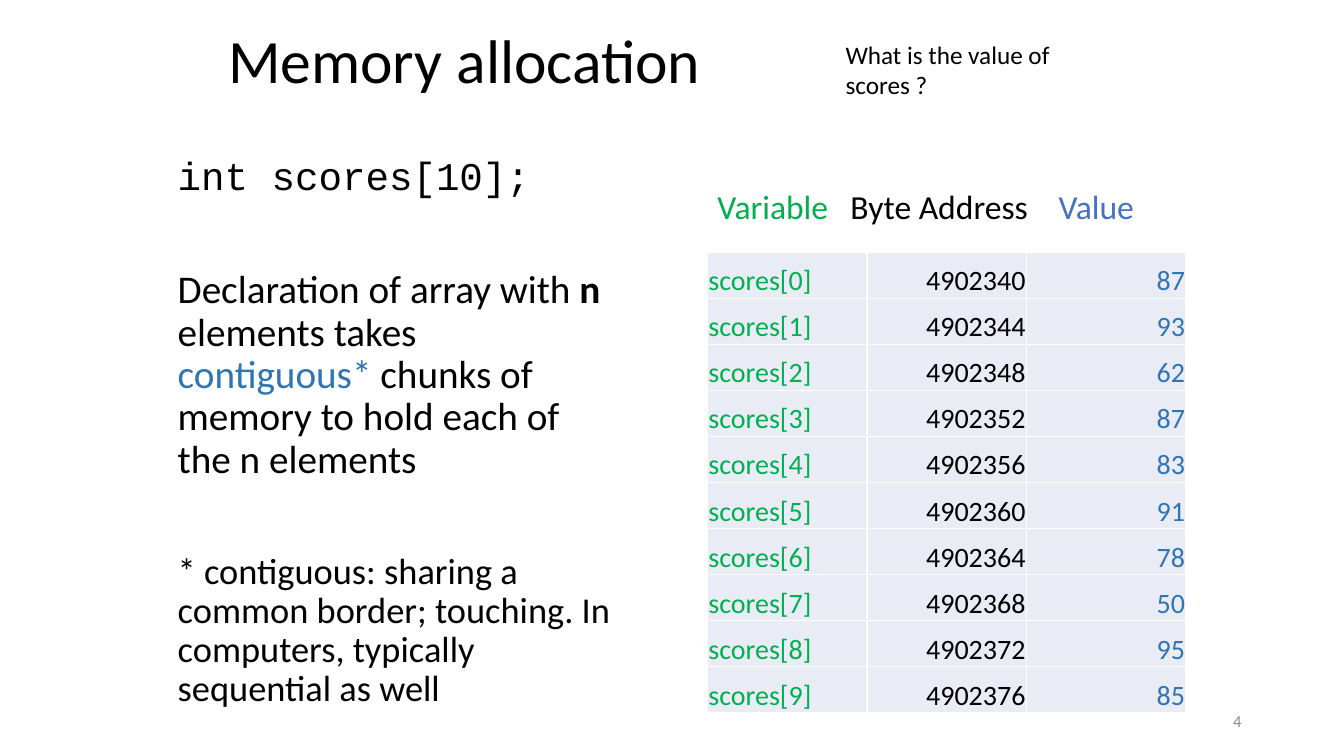
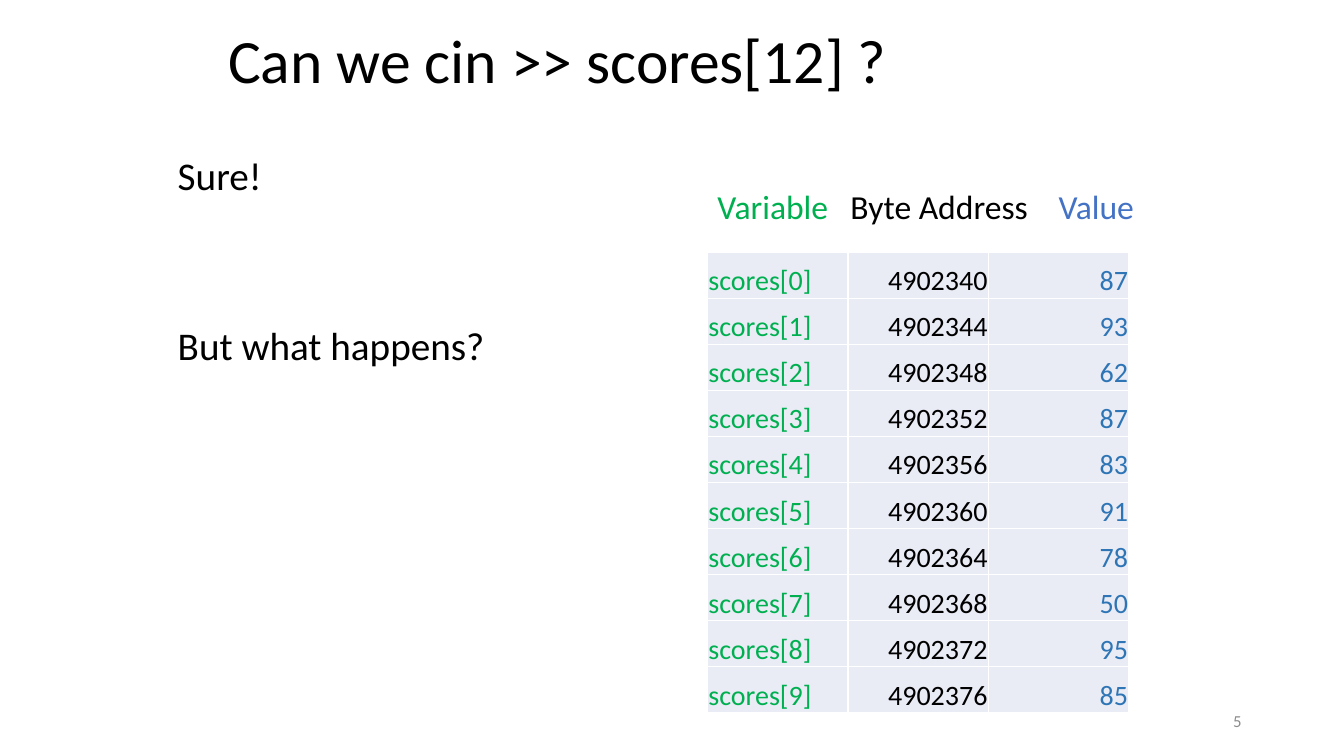
from dataclasses import dataclass

from lxml import etree
from pptx import Presentation
from pptx.dml.color import RGBColor
from pptx.enum.text import MSO_ANCHOR, PP_ALIGN
from pptx.oxml.ns import qn
from pptx.util import Cm, Pt

LEFT, RIGHT = PP_ALIGN.LEFT, PP_ALIGN.RIGHT
TOP, MIDDLE, BOTTOM = MSO_ANCHOR.TOP, MSO_ANCHOR.MIDDLE, MSO_ANCHOR.BOTTOM


@dataclass(frozen=True)
class Theme:
    sans: str = "Calibri"
    mono: str = "Courier New"
    black: str = "000000"
    white: str = "FFFFFF"
    green: str = "00B050"
    blue: str = "2E75B6"
    royal: str = "4472C4"
    grey: str = "8C8C8C"
    pale: str = "E9EBF5"
    title: int = 44
    body: int = 28
    note: int = 26
    head: int = 24
    cell: int = 20
    ask: int = 18
    foot: int = 12
    tight: float = 0.9
    space: int = 10
    blank: float = 40.75


T = Theme()
SCORES = (87, 93, 62, 87, 83, 91, 78, 50, 95, 85)
BASE, STEP = 4902340, 4
ROWS = [(f"scores[{i}]", str(BASE + STEP * i), str(score))
        for i, score in enumerate(SCORES)]
COLUMNS = ((T.green, LEFT), (T.black, RIGHT), (T.blue, RIGHT))
HEADS = (("Variable", {"color": T.green}),
         ("\tByte Address", {}),
         ("\tValue", {"color": T.royal}))
STOPS = (3.35, 8.6)
EDGES = ("lnL", "lnR", "lnT", "lnB")


def apply(target, values):
    for name, value in values.items():
        setattr(target, name, value)


def write(para, runs, size, **style):
    apply(para, style)
    for text, change in runs:
        form = {"name": T.sans, "size": Pt(size), "color": T.black, **change}
        shade = form.pop("color")
        run = para.add_run()
        run.text = text
        apply(run.font, form)
        run.font.color.rgb = RGBColor.from_string(shade)


def add_box(slide, place, anchor=TOP):
    frame = slide.shapes.add_textbox(*map(Cm, place)).text_frame
    apply(frame, {"word_wrap": True, "vertical_anchor": anchor})
    return frame


def add_title(slide, text):
    frame = add_box(slide, (5.5, 0, 22.86, 3.18), MIDDLE)
    write(frame.paragraphs[0], [(text, {})], T.title, line_spacing=T.tight)


def add_body(slide, items):
    frame = add_box(slide, (4.23, 3.82, 11.43, 14.5))
    for i, (runs, size, gaps) in enumerate(items):
        para = frame.add_paragraph() if i else frame.paragraphs[0]
        before = T.space + gaps * T.blank if i else 0
        write(para, runs, size, line_spacing=T.tight, space_before=Pt(before))


def add_heads(slide):
    para = add_box(slide, (17.83, 4.55, 12.06, 1.28)).paragraphs[0]
    write(para, HEADS, T.head)
    stops = etree.SubElement(para._p.get_or_add_pPr(), qn("a:tabLst"))
    for stop in STOPS:
        etree.SubElement(stops, qn("a:tab"), pos=str(Cm(stop)), algn="l")


def add_edges(cell):
    props = cell._tc.get_or_add_tcPr()
    for edge in EDGES:
        line = etree.SubElement(props, qn(f"a:{edge}"), w=str(Pt(1)))
        fill = etree.SubElement(line, qn("a:solidFill"))
        etree.SubElement(fill, qn("a:srgbClr"), val=T.white)


def add_grid(slide, width, height=1.16):
    place = (17.83, 6.36, width * len(COLUMNS), height * len(ROWS))
    grid = slide.shapes.add_table(
        len(ROWS), len(COLUMNS), *map(Cm, place)).table
    apply(grid, {"first_row": False, "horz_banding": False})
    for col in grid.columns:
        col.width = Cm(width)
    for r, row in enumerate(ROWS):
        grid.rows[r].height = Cm(height)
        for c, (text, (shade, align)) in enumerate(zip(row, COLUMNS)):
            cell = grid.cell(r, c)
            apply(cell, {"vertical_anchor": BOTTOM, "margin_left": Cm(0.02),
                         "margin_right": Cm(0.02), "margin_top": Cm(0.02),
                         "margin_bottom": 0})
            add_edges(cell)
            cell.fill.solid()
            cell.fill.fore_color.rgb = RGBColor.from_string(T.pale)
            write(cell.text_frame.paragraphs[0], [(text, {"color": shade})],
                  T.cell, alignment=align)


def add_ask(slide, lines):
    frame = add_box(slide, (21.06, 0.86, 9.35, 1.8))
    for i, line in enumerate(lines):
        para = frame.add_paragraph() if i else frame.paragraphs[0]
        write(para, [(line, {})], T.ask)


def add_foot(slide, number):
    frame = add_box(slide, (23.92, 17.65, 7.62, 1.01), MIDDLE)
    write(frame.paragraphs[0], [(str(number), {"color": T.grey})], T.foot,
          alignment=RIGHT)


def add_page(deck, number, title, items, width):
    slide = deck.slides.add_slide(deck.slide_layouts[6])
    add_title(slide, title)
    add_body(slide, items)
    add_heads(slide)
    add_grid(slide, width)
    add_foot(slide, number)
    return slide


def main():
    deck = Presentation()
    apply(deck, {"slide_width": Cm(33.87), "slide_height": Cm(19.05)})
    memo = [
        ([("int scores[10];", {"name": T.mono})], T.body, 0),
        ([("Declaration of array with ", {}),
          ("n", {"bold": True}),
          (" elements takes ", {}),
          ("contiguous*", {"color": T.blue}),
          (" chunks of memory to hold each of the n elements", {})],
         T.body, 1),
        ([("* contiguous: sharing a common border; touching. "
           "In computers, typically sequential as well", {})], T.note, 1),
    ]
    slide = add_page(deck, 4, "Memory allocation", memo, 4.02)
    add_ask(slide, ("What is the value of", "scores ?"))
    reply = [
        ([("Sure!", {})], T.body, 0),
        ([("But what happens?", {})], T.body, 2),
    ]
    add_page(deck, 5, "Can we cin >> scores[12] ?", reply, 3.54)
    deck.save("out.pptx")


if __name__ == "__main__":
    main()
